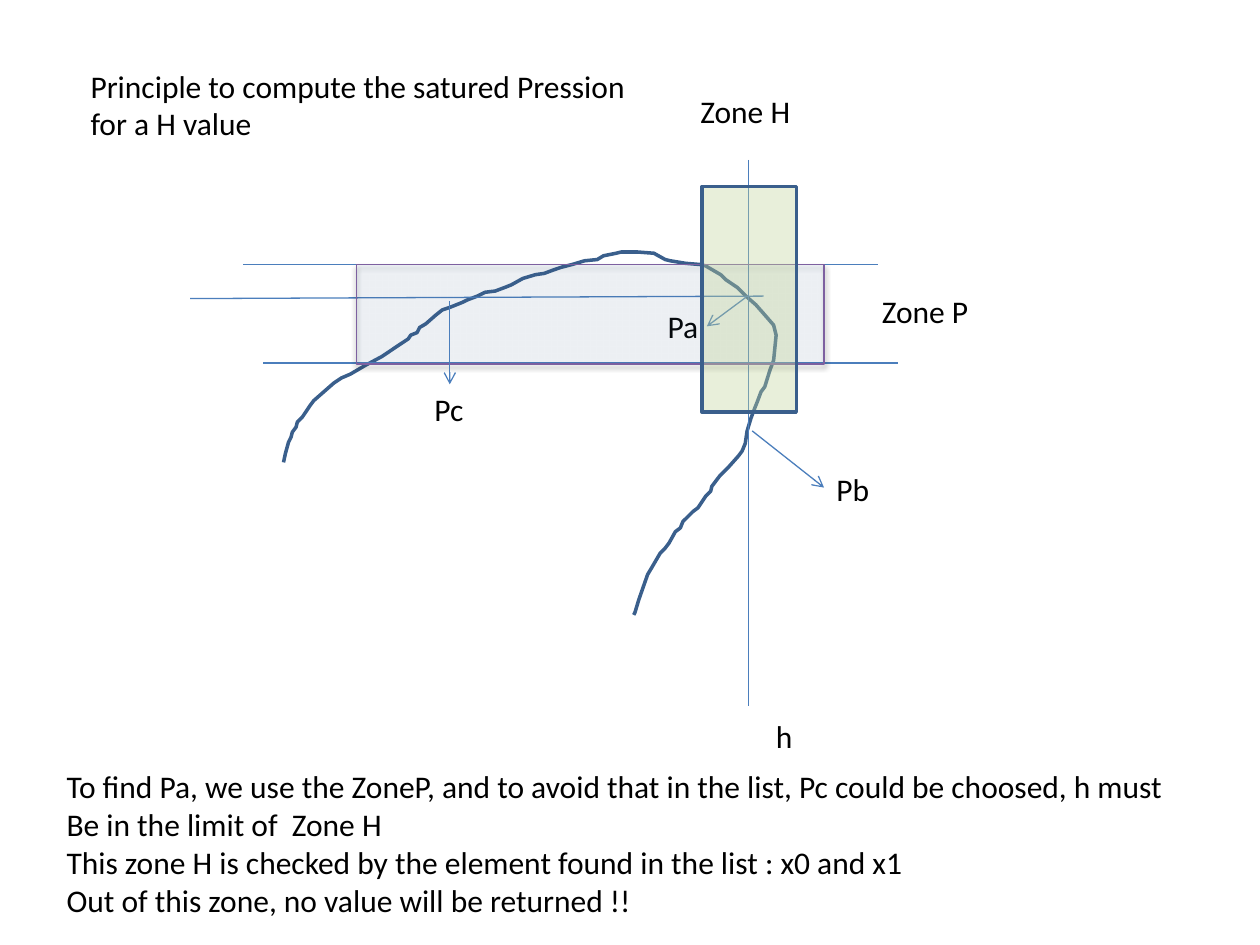
from lxml.etree import SubElement
from pptx import Presentation
from pptx.dml.color import RGBColor
from pptx.enum.shapes import MSO_CONNECTOR, MSO_SHAPE
from pptx.enum.text import MSO_AUTO_SIZE
from pptx.oxml.ns import qn
from pptx.util import Inches, Pt

CELL = Inches(0.1)
COLS, ROWS = 100, 75

BLACK = RGBColor(0x00, 0x00, 0x00)
NAVY = RGBColor(0x3A, 0x5F, 0x8C)
BLUE = RGBColor(0x4B, 0x7E, 0xBC)
PURPLE = RGBColor(0x7D, 0x60, 0xA0)
ZONE_P_FILL = RGBColor(0x4F, 0x81, 0xBD)
ZONE_H_FILL = RGBColor(0xC3, 0xD6, 0x9B)

CURVE = [
    (22.5, 36.7), (22.65, 36), (22.9, 35.1), (23.1, 34.7), (23.2, 34.3),
    (23.5, 33.9), (23.6, 33.5), (24, 33.1), (24.6, 32.2), (24.9, 31.8),
    (25.7, 31.1), (26.5, 30.4), (27.1, 30), (27.8, 29.7), (29, 29),
    (30.3, 28.3), (31.5, 27.5), (32.4, 26.9), (32.6, 26.6), (33.1, 26.4),
    (33.3, 26), (33.8, 25.7), (34.6, 25), (35.1, 24.6), (35.7, 24.4),
    (36.7, 24), (37.1, 23.8), (37.9, 23.5), (38.5, 23.2), (39.3, 23.1),
    (40.1, 22.8), (40.6, 22.6), (41.5, 22.1), (42.5, 21.8), (43.2, 21.7),
    (44, 21.4), (44.6, 21.2), (45.4, 21), (46.4, 20.7), (47.4, 20.6),
    (47.9, 20.3), (48.9, 20.1), (49.3, 20), (50.6, 20), (51.9, 20.1),
    (52.8, 20.6), (53.2, 20.7), (54.4, 20.9), (55.6, 21), (56, 21.1),
    (57.2, 21.8), (57.6, 22.2), (58.5, 22.8), (59.2, 23.5), (60, 24.2),
    (60.7, 25), (61.4, 25.8), (61.6, 26.6), (61.4, 28.6), (61.1, 29.4),
    (60.7, 30.7), (60.4, 31.1), (60.1, 31.9), (59.9, 32.4), (59.6, 33.2),
    (59.3, 34.2), (59.15, 35.2), (58.9, 35.8), (58.6, 36.2), (57.8, 37.1),
    (57.1, 37.8), (56.5, 38.6), (56.4, 39), (56, 39.4), (55.4, 40.3),
    (55, 40.6), (54.2, 41.4), (54, 41.9), (53.6, 42.2), (53.1, 43.1),
    (52.8, 43.5), (52.4, 43.9), (51.7, 45.1), (51.4, 45.6), (50.7, 47.6),
    (50.4, 48.6), (50.3, 48.8),
]
CLOSING = [
    "To find Pa, we use the ZoneP, and to avoid that in the list, Pc could be choosed, h must",
    "Be in the limit of  Zone H",
    "This zone H is checked by the element found in the list : x0 and x1",
    "Out of this zone, no value will be returned !!",
]


def cells(*values):
    return [round(v * CELL) for v in values]


def add_label(s, box, *lines):
    tf = s.shapes.add_textbox(*cells(*box)).text_frame
    tf.word_wrap = False
    tf.auto_size = MSO_AUTO_SIZE.SHAPE_TO_FIT_TEXT
    tf.text = "\n".join(lines)
    for p in tf.paragraphs:
        for r in p.runs:
            r.font.name = "Calibri"
            r.font.size = Pt(18)
            r.font.color.rgb = BLACK


def add_line(s, start, end, arrow=False):
    line = s.shapes.add_connector(MSO_CONNECTOR.STRAIGHT, *cells(*start, *end))
    line.line.color.rgb = BLUE
    line.line.width = Pt(0.75)
    if arrow:
        SubElement(line.line._get_or_add_ln(), qn("a:tailEnd"), type="arrow")
    SubElement(line._element.spPr, qn("a:effectLst"))


def add_alpha(parent, percent):
    SubElement(parent, qn("a:alpha"), val=str(percent * 1000))


def add_zone(s, box, fill, opacity, outline, width):
    sp = s.shapes.add_shape(MSO_SHAPE.RECTANGLE, *cells(*box))
    sp.shadow.inherit = False
    sp.fill.solid()
    sp.fill.fore_color.rgb = fill
    add_alpha(sp._element.spPr.find(".//" + qn("a:srgbClr")), opacity)
    sp.line.color.rgb = outline
    sp.line.width = Pt(width)
    return sp


def add_shadow(sp):
    effects = sp._element.spPr.find(qn("a:effectLst"))
    shadow = SubElement(effects, qn("a:outerShdw"), blurRad=str(Pt(3.1)),
                        dist=str(Pt(1.6)), dir="5400000", rotWithShape="0")
    add_alpha(SubElement(shadow, qn("a:srgbClr"), val=str(BLACK)), 38)


def add_curve(s, points):
    start, *rest = [cells(*point) for point in points]
    builder = s.shapes.build_freeform(*start)
    builder.add_line_segments(rest, close=False)
    sp = builder.convert_to_shape()
    sp.shadow.inherit = False
    sp.fill.background()
    sp.line.color.rgb = NAVY
    sp.line.width = Pt(2)


def main():
    prs = Presentation()
    prs.slide_width, prs.slide_height = cells(COLS, ROWS)
    s = prs.slides.add_slide(prs.slide_layouts[6])

    add_curve(s, CURVE)
    add_line(s, (19.3, 21), (69.7, 21))
    add_line(s, (20.9, 28.8), (71.3, 28.8))
    add_line(s, (59.4, 12.7), (59.4, 56))
    add_label(s, (52, 23.9, 4.5, 4), "Pa")
    add_label(s, (65.4, 36.8, 4.6, 4), "Pb")
    add_line(s, (59.2, 23.6), (56.1, 25.9), arrow=True)
    add_line(s, (59.7, 34.2), (65.4, 38.7), arrow=True)
    add_label(s, (60.6, 56.4, 3.4, 4), "h")
    add_line(s, (60.6, 23.5), (15.1, 23.7))
    add_label(s, (33.5, 30.5, 4.3, 4), "Pc")
    add_shadow(add_zone(s, (28.3, 21, 37.1, 7.9), ZONE_P_FILL, 7, PURPLE, 0.75))
    add_label(s, (69, 22.7, 9, 4), "Zone P")
    add_label(s, (4.3, 60.4, 90.7, 13.1), *CLOSING)
    add_line(s, (35.7, 23.9), (35.7, 30.5), arrow=True)
    add_zone(s, (55.7, 14.8, 7.5, 17.9), ZONE_H_FILL, 37, NAVY, 2)
    add_label(s, (54.6, 6.8, 9.2, 4), "Zone H")
    add_label(s, (6.2, 4.8, 45.5, 7.1),
              "Principle to compute the satured Pression", "for a H value")

    prs.save("out.pptx")


if __name__ == "__main__":
    main()
